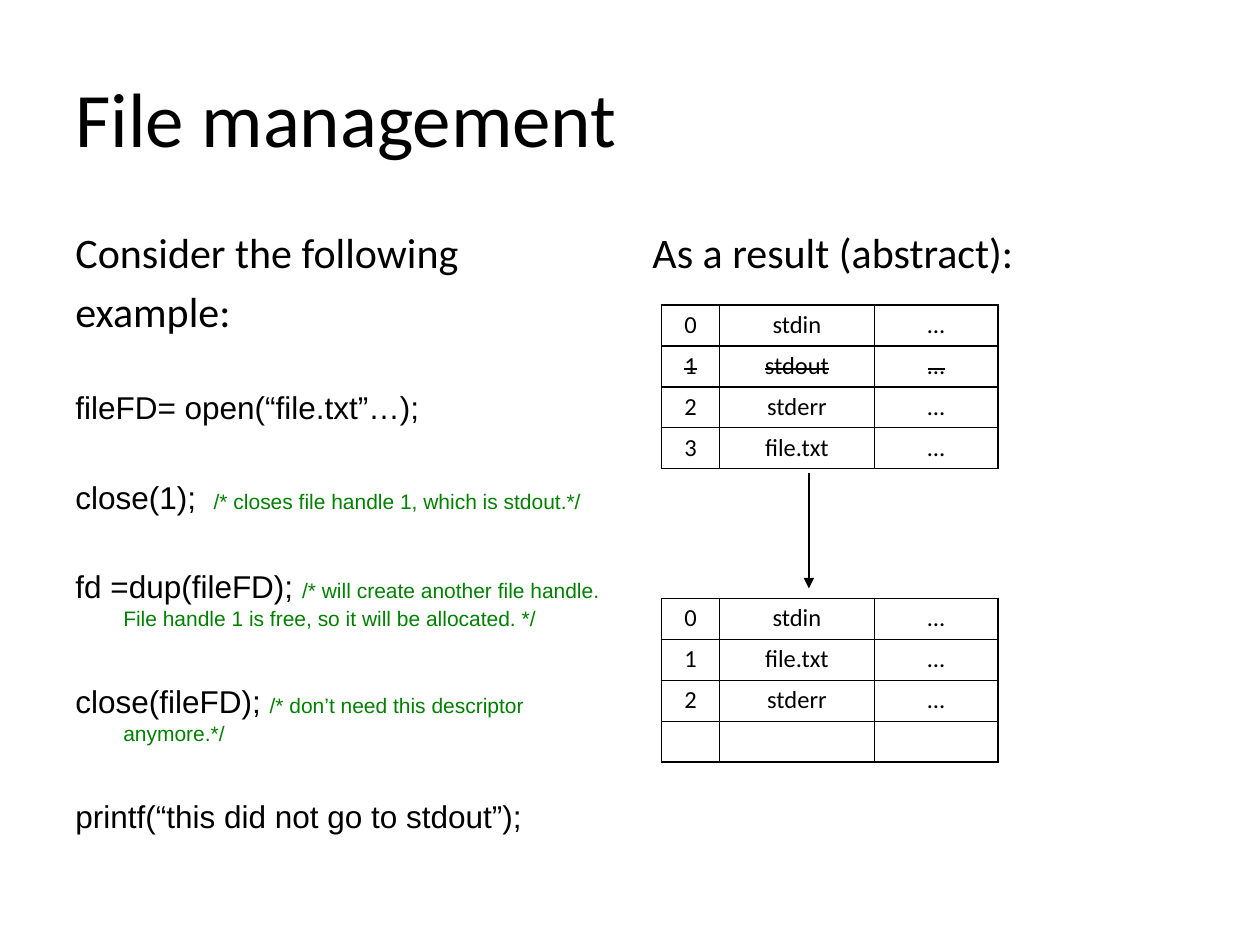
from lxml import etree
from pptx import Presentation
from pptx.dml.color import RGBColor
from pptx.enum.shapes import MSO_CONNECTOR
from pptx.enum.text import MSO_ANCHOR, PP_ALIGN
from pptx.oxml.ns import qn
from pptx.util import Inches, Pt

STRAIGHT = MSO_CONNECTOR.STRAIGHT
TOP, MIDDLE = MSO_ANCHOR.TOP, MSO_ANCHOR.MIDDLE
CENTER = PP_ALIGN.CENTER
COLORS = {"ink": "000000", "note": "008000"}
STYLES = {
    "title": ("Calibri", 44, "ink"),
    "body": ("Calibri", 24, "ink"),
    "code": ("Arial", 18, "ink"),
    "note": ("Arial", 12, "note"),
    "cell": ("Calibri", 14, "ink"),
}
EDGES = ("a:lnL", "a:lnR", "a:lnT", "a:lnB")


def assign(item, values):
    """Set each attribute named in a dict."""
    for name, value in values.items():
        setattr(item, name, value)


def child(parent, tag, **attrs):
    """Append an XML element with its attributes."""
    return etree.SubElement(parent, qn(tag), **attrs)


class Page:
    """The current slide and its styles."""

    def __init__(self, slide):
        """Keep the slide to draw on."""
        self.shapes = slide.shapes

    def run(self, para, text, style, strike=False):
        """Add a styled run to a paragraph."""
        run = para.add_run()
        run.text = text
        face, size, color = STYLES[style]
        assign(run.font, {"name": face, "size": Pt(size)})
        run.font.color.rgb = RGBColor.from_string(COLORS[color])
        if strike:
            run.font._element.set("strike", "sngStrike")

    def text(self, box, paras, anchor=TOP, indent=0):
        """Add a text box; each paragraph is (space before, runs)."""
        frame = self.shapes.add_textbox(*map(Inches, box)).text_frame
        assign(frame, {"word_wrap": True, "vertical_anchor": anchor})
        for i, (gap, runs) in enumerate(paras):
            para = frame.paragraphs[0] if i == 0 else frame.add_paragraph()
            para.space_before = Pt(gap)
            if indent:
                props = para._p.get_or_add_pPr()
                props.set("marL", str(Inches(indent)))
                props.set("indent", str(-Inches(indent)))
            for text, style in runs:
                self.run(para, text, style)

    def cell(self, cell, text, strike):
        """Fill in one bordered table cell."""
        assign(cell, {
            "margin_left": Inches(0.08), "margin_right": Inches(0.08),
            "margin_top": Inches(0.04), "margin_bottom": Inches(0.04),
        })
        para = cell.text_frame.paragraphs[0]
        para.alignment = CENTER
        if text:
            self.run(para, text, "cell", strike)
        else:
            child(para._p, "a:endParaRPr", sz=str(STYLES["cell"][1] * 100))
        props = cell._tc.get_or_add_tcPr()
        for edge in EDGES:
            fill = child(child(props, edge, w=str(Pt(1))), "a:solidFill")
            child(fill, "a:srgbClr", val=COLORS["ink"])
        cell.fill.background()

    def table(self, left, top, cols, height, rows, struck=None):
        """Add a plain grid; the struck row is crossed out."""
        size = (sum(cols), height * len(rows))
        table = self.shapes.add_table(
            len(rows), len(cols), *map(Inches, (left, top, *size))).table
        assign(table, {"first_row": False, "horz_banding": False})
        for col, width in zip(table.columns, cols):
            col.width = Inches(width)
        for r, row in enumerate(rows):
            table.rows[r].height = Inches(height)
            for c, text in enumerate(row):
                self.cell(table.cell(r, c), text, r == struck)

    def arrow(self, *ends):
        """Add a thin line with an arrowhead at its end."""
        link = self.shapes.add_connector(STRAIGHT, *map(Inches, ends))
        link.line.width = Pt(0.75)
        link.line.color.rgb = RGBColor.from_string(COLORS["ink"])
        child(link.line._get_or_add_ln(), "a:tailEnd", type="triangle")
        child(link._element.spPr, "a:effectLst")


CODE = [
    ("fileFD= open(“file.txt”…);", ""),
    ("close(1);  ", "/* closes file handle 1, which is stdout.*/"),
    ("fd =dup(fileFD); ", "/* will create another file handle. "
     "File handle 1 is free, so it will be allocated. */"),
    ("close(fileFD); ", "/* don’t need this descriptor anymore.*/"),
    ("printf(“this did not go to stdout”);", ""),
]
BEFORE = [("0", "stdin", "…"), ("1", "stdout", "…"),
          ("2", "stderr", "…"), ("3", "file.txt", "…")]
AFTER = [("0", "stdin", "…"), ("1", "file.txt", "…"),
         ("2", "stderr", "…"), ("", "", "")]


def main():
    """Build and save the slide."""
    deck = Presentation()
    assign(deck, {"slide_width": Inches(10), "slide_height": Inches(7.5)})
    page = Page(deck.slides.add_slide(deck.slide_layouts[6]))

    page.text((0.5, 0.3, 9, 1.25), [(0, [("File management", "title")])], MIDDLE)
    steps = [(0, [("Consider the following", "body")]),
             (4.8, [("example:", "body")])]
    for code, note in CODE:
        runs = [(code, "code")] + ([(note, "note")] if note else [])
        steps.append((29.7, runs))
    page.text((0.5, 1.75, 4.42, 4.95), steps, indent=0.38)
    page.text((5.08, 1.75, 4.42, 4.95),
              [(0, [("As a result (abstract):", "body")])], indent=0.38)

    cols, height = (0.46, 1.23, 0.98), 0.325
    page.table(5.25, 2.42, cols, height, BEFORE, struck=1)
    page.table(5.25, 4.75, cols, height, AFTER)
    page.arrow(6.42, 3.75, 6.42, 4.67)
    deck.save("out.pptx")


main()
